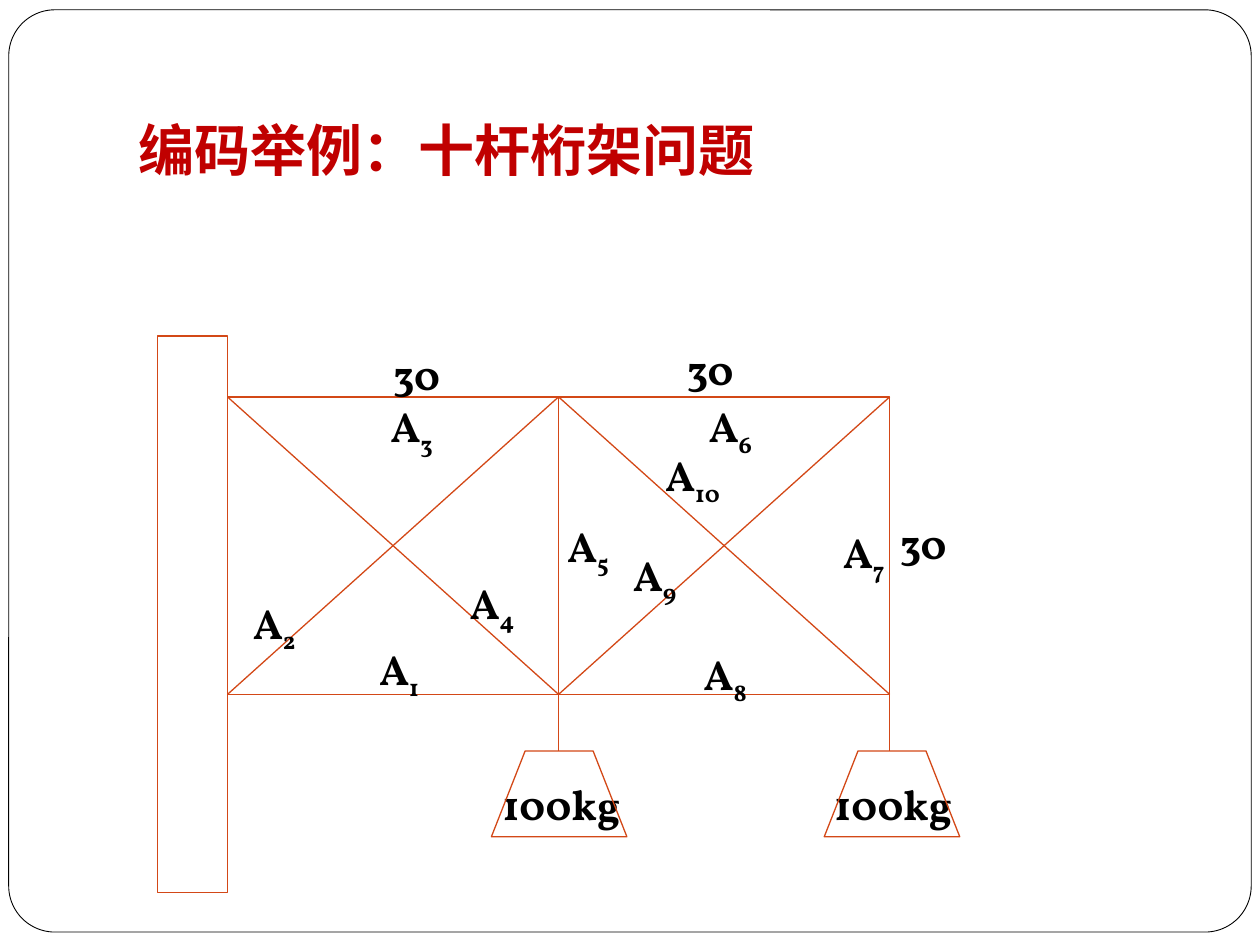
"""Build the ten-bar truss slide."""
from dataclasses import dataclass

from lxml.etree import SubElement
from pptx import Presentation
from pptx.dml.color import RGBColor
from pptx.enum.shapes import MSO_CONNECTOR, MSO_SHAPE
from pptx.enum.text import MSO_ANCHOR, PP_ALIGN
from pptx.oxml.ns import qn
from pptx.util import Pt

COLORS = {"paper": "FFFFFF", "ink": "000000", "title": "C00000", "truss": "D34817"}
LEFT, MIDDLE, RIGHT = 130, 319.2, 508.4
TOP, BOTTOM, HOOK = 226.8, 396.8, 429.1
WEIGHT_WIDTH, WEIGHT_HEIGHT, WEIGHT_INSET = 77.4, 49, 19.3


@dataclass
class Bar:
    x1: float
    y1: float
    x2: float
    y2: float


@dataclass
class Label:
    text: str
    left: float
    top: float
    subscript: str = ""
    width: float = 84.5
    height: float = 32.4


@dataclass
class Weight:
    left: float
    hook_x: float
    label: Label


BARS = [
    Bar(MIDDLE, TOP, MIDDLE, BOTTOM),
    Bar(LEFT, TOP, MIDDLE, BOTTOM),
    Bar(LEFT, BOTTOM, MIDDLE, TOP),
    Bar(MIDDLE, TOP, RIGHT, BOTTOM),
    Bar(MIDDLE, BOTTOM, RIGHT, TOP),
]
WEIGHTS = [
    Weight(280.8, MIDDLE, Label("100kg", 265.7, 441.4, width=110.2, height=58.3)),
    Weight(471, RIGHT, Label("100kg", 450.7, 441.4, width=119.5, height=58.3)),
]
LENGTHS = [Label("30", 485.3, 292.3), Label("30", 195.8, 195.8), Label("30", 363.6, 193)]
BAR_LABEL_PLACES = [
    (185.8, 364.3), (114.5, 337.7), (193, 225.4), (239, 326.2), (293.8, 293.8),
    (375.1, 225.4), (451.4, 297.4), (372.2, 367.2), (331.9, 310.3), (353.5, 253.4),
]
BAR_LABELS = [Label("A", x, y, str(n)) for n, (x, y) in enumerate(BAR_LABEL_PLACES, 1)]


def color(name: str) -> RGBColor:
    return RGBColor.from_string(COLORS[name])


def outline(s, name: str = "truss", width: float = 0.75) -> None:
    s.line.color.rgb = color(name)
    s.line.width = Pt(width)


def add_box(kind, left: float, top: float, width: float, height: float):
    s = slide.shapes.add_shape(kind, Pt(left), Pt(top), Pt(width), Pt(height))
    s.shadow.inherit = False
    s.fill.background()
    outline(s)
    return s


def add_bar(bar: Bar) -> None:
    s = slide.shapes.add_connector(
        MSO_CONNECTOR.STRAIGHT, Pt(bar.x1), Pt(bar.y1), Pt(bar.x2), Pt(bar.y2))
    outline(s)
    SubElement(s._element.spPr, qn("a:effectLst"))


def style_run(r, size: float, font: str, name: str) -> None:
    r.font.size = Pt(size)
    r.font.bold = True
    r.font.name = font
    r.font.color.rgb = color(name)


def add_label(label: Label) -> None:
    s = slide.shapes.add_textbox(
        Pt(label.left), Pt(label.top), Pt(label.width), Pt(label.height))
    tf = s.text_frame
    tf.word_wrap = True
    p = tf.paragraphs[0]
    p.text = label.text
    p.alignment = PP_ALIGN.CENTER
    if label.subscript:
        r = p.add_run()
        r.text = label.subscript
        r.font._element.set("baseline", "-25000")
    for r in p.runs:
        style_run(r, 24, "Vollkorn", "ink")


def add_weight(weight: Weight) -> None:
    add_label(weight.label)
    right, base = weight.left + WEIGHT_WIDTH, HOOK + WEIGHT_HEIGHT
    builder = slide.shapes.build_freeform(Pt(weight.left), Pt(base))
    builder.add_line_segments([
        (Pt(weight.left + WEIGHT_INSET), Pt(HOOK)),
        (Pt(right - WEIGHT_INSET), Pt(HOOK)),
        (Pt(right), Pt(base)),
    ], close=True)
    s = builder.convert_to_shape()
    s.shadow.inherit = False
    s.fill.background()
    outline(s)
    add_bar(Bar(weight.hook_x, BOTTOM, weight.hook_x, HOOK))


def add_title(text: str) -> None:
    s = slide.shapes.add_textbox(Pt(72), Pt(21.6), Pt(612), Pt(90))
    tf = s.text_frame
    tf.word_wrap = True
    tf.vertical_anchor = MSO_ANCHOR.BOTTOM
    tf.margin_bottom = Pt(7.2)
    tf.text = text
    r = tf.paragraphs[0].runs[0]
    style_run(r, 32, "Times New Roman", "title")


prs = Presentation()
prs.slide_width, prs.slide_height = Pt(720), Pt(540)
slide = prs.slides.add_slide(prs.slide_layouts[6])

border = add_box(MSO_SHAPE.ROUNDED_RECTANGLE, 5, 5.6, 710, 527)
border.adjustments[0] = 0.05
border.fill.solid()
border.fill.fore_color.rgb = color("paper")
outline(border, "ink", 0.5)

add_title("编码举例：十杆桁架问题")
add_box(MSO_SHAPE.RECTANGLE, 90, 192, 40, 318)
add_box(MSO_SHAPE.RECTANGLE, LEFT, TOP, RIGHT - LEFT, BOTTOM - TOP)
for bar in BARS:
    add_bar(bar)
for weight in WEIGHTS:
    add_weight(weight)
for label in LENGTHS + BAR_LABELS:
    add_label(label)

prs.save("out.pptx")
